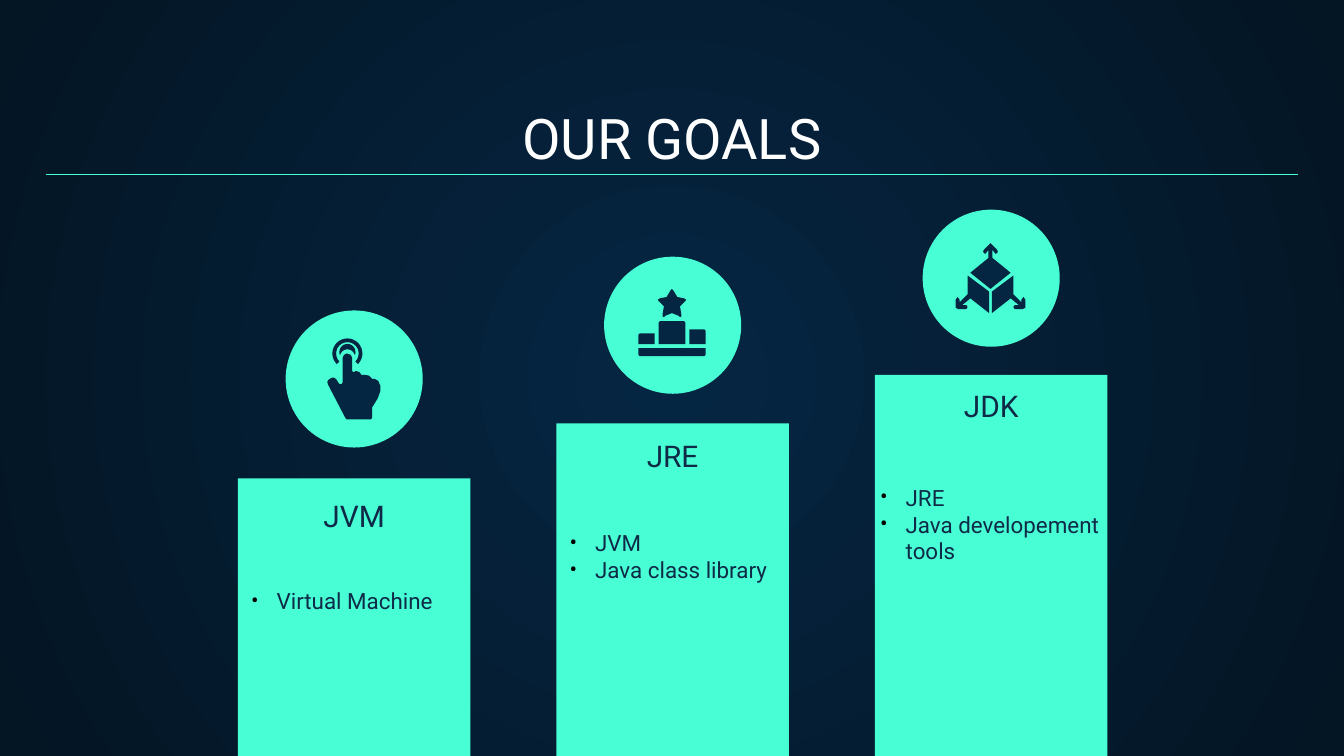
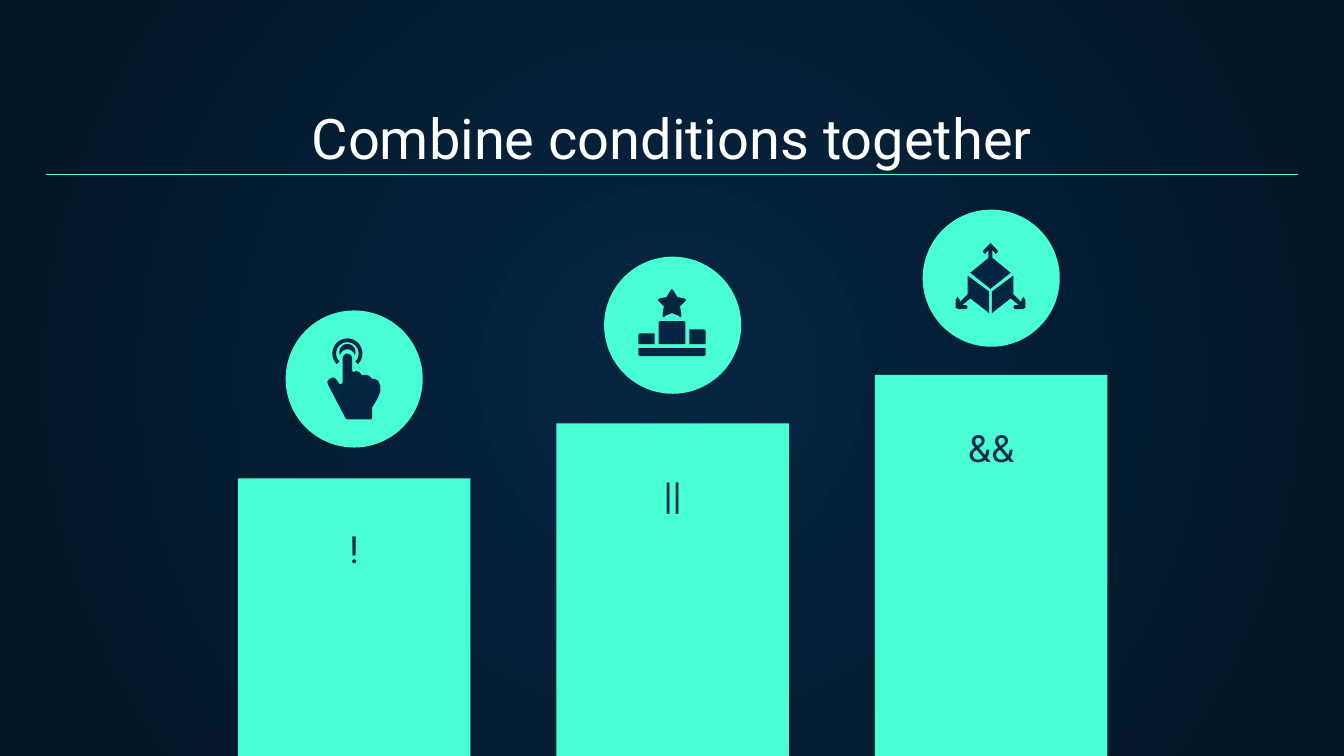
from math import cos, radians, sin

from lxml.etree import SubElement
from pptx import Presentation
from pptx.dml.color import RGBColor
from pptx.enum.shapes import MSO_CONNECTOR, MSO_SHAPE
from pptx.enum.text import MSO_ANCHOR, MSO_AUTO_SIZE, PP_ALIGN
from pptx.oxml.ns import qn
from pptx.util import Inches, Pt

COLORS = {
    "mint": "48FFD5",
    "navy": "052643",
    "night": "041523",
    "ink": "0E2A47",
    "white": "FFFFFF",
    "bullet": "000000",
}
FONT = "Roboto"
BAR_LEFT, BAR_STEP, BAR_WIDTH, BAR_BOTTOM = 1.77, 2.37, 1.73, 5.66
BAR_TOPS = [3.56, 3.15, 2.79]
BADGE_SIZE = 1.02
BADGE_TOPS = [2.31, 1.91, 1.56]
HEADING_WIDTH, HEADING_HEIGHT = 2.27, 0.21


def arc(center_x, center_y, radius, start, end, steps=24):
    angles = [radians(start + (end - start) * i / steps) for i in range(steps + 1)]
    return [(center_x + radius * cos(a), center_y + radius * sin(a)) for a in angles]


def mirror(points, axis):
    return [(2 * axis - x, y) for x, y in reversed(points)]


def symmetric(half, axis):
    return half + mirror(half, axis)


def touch_icon():
    ring = arc(258.5, 263, 11.2, 135, 405) + arc(258.5, 263, 8.4, 405, 135)
    ripple = arc(258.5, 262, 6, 160, 380) + arc(258.5, 265.5, 5.5, 340, 200)
    hand = [
        (258, 263), (256, 264), (255, 266), (255, 284), (254.5, 285.5), (253, 286),
        (252, 285), (250, 282), (248.5, 281), (247, 281), (244.5, 282.5), (243.5, 284),
        (244, 286), (257, 311), (258, 312), (276, 312), (277, 311), (277, 303),
        (281, 296.5), (283, 291), (283, 287), (281.5, 283.5), (279, 282), (277, 282),
        (276, 281), (274.5, 279.5), (272, 279), (269, 279), (267.5, 277), (265, 276),
        (263, 277), (262, 276), (262, 266), (261, 264),
    ]
    return [ring, ripple, hand]


def podium_icon():
    half_star = [
        (500, 215), (499, 216), (496, 221), (491, 222), (489.5, 223), (490, 224),
        (494, 228), (493, 234), (493, 235.5), (494, 236), (495, 235), (500, 233),
    ]
    second = [(476, 248), (475, 249), (475, 256), (487, 256), (487, 248)]
    first = [(491, 239), (490, 240), (490, 256), (510, 256), (510, 240), (509, 239)]
    third = [(513, 245), (513, 256), (525, 256), (525, 246), (524, 245)]
    base = [(475, 259), (475, 264), (476, 265), (524, 265), (525, 264), (525, 259)]
    return [symmetric(half_star, 500), second, first, third, base]


def cube_icon():
    axis = 737
    right_side = [
        (754, 205), (738, 217), (738, 233), (752, 222), (758, 227), (755, 227),
        (754, 228.5), (755, 230), (761, 230), (763, 229), (763, 223), (761.5, 221),
        (760, 223), (760, 225), (754, 219),
    ]
    half_top = [
        (737, 181), (736, 182), (732, 186), (731.5, 187.5), (733, 189), (734, 188),
        (735.5, 186), (735.5, 192), (722, 203), (737, 215),
    ]
    return [right_side, mirror(right_side, axis), symmetric(half_top, axis)]


ICONS = [touch_icon(), podium_icon(), cube_icon()]


def rgb(name):
    return RGBColor.from_string(COLORS[name])


def set_background(master):
    fill = master.background.fill
    fill.gradient()
    for stop, name in zip(fill.gradient_stops, ("navy", "night")):
        stop.color.rgb = rgb(name)
    gradient = master.element.find(".//" + qn("a:gradFill"))
    gradient.remove(gradient.find(qn("a:lin")))
    circle = SubElement(gradient, qn("a:path"), path="circle")
    SubElement(circle, qn("a:fillToRect"), l="50000", t="50000", r="50000", b="50000")


def paint(shape, name):
    shape.fill.solid()
    shape.fill.fore_color.rgb = rgb(name)
    shape.line.fill.background()
    shape.shadow.inherit = False


def add_block(slide, preset, left, top, width, height):
    block = slide.shapes.add_shape(
        preset, Inches(left), Inches(top), Inches(width), Inches(height))
    paint(block, "mint")


def add_icon(slide, outlines):
    icon = slide.shapes.add_group_shape()
    for outline in outlines:
        start, *rest = [(round(x * 10), round(y * 10)) for x, y in outline]
        builder = icon.shapes.build_freeform(*start, scale=Inches(1) / 1000)
        builder.add_line_segments(rest, close=True)
        paint(builder.convert_to_shape(), "navy")


def set_frame(frame, anchor):
    frame.word_wrap = True
    frame.auto_size = MSO_AUTO_SIZE.NONE
    frame.vertical_anchor = anchor
    frame.margin_left = frame.margin_right = Inches(0.1)
    frame.margin_top = frame.margin_bottom = Inches(0.1)


def style(paragraph, size, color, align=PP_ALIGN.CENTER):
    paragraph.alignment = align
    paragraph.font.name = FONT
    paragraph.font.size = Pt(size)
    paragraph.font.color.rgb = rgb(color)


def set_title(slide, text):
    title = slide.shapes.title
    title.left, title.top = Inches(0.34), Inches(0.71)
    title.width, title.height = Inches(9.32), Inches(0.66)
    title.text_frame.text = text
    set_frame(title.text_frame, MSO_ANCHOR.BOTTOM)
    style(title.text_frame.paragraphs[0], 30, "white")


def add_title_rule(slide):
    rule = slide.shapes.add_connector(
        MSO_CONNECTOR.STRAIGHT, Inches(0.34), Inches(1.3), Inches(9.66), Inches(1.3))
    rule.line.color.rgb = rgb("mint")
    rule.line.width = Pt(0.75)
    SubElement(rule.element.spPr, qn("a:effectLst"))


def add_text(slide, text, left, top, width, height, anchor):
    box = slide.shapes.add_textbox(
        Inches(left), Inches(top), Inches(width), Inches(height))
    set_frame(box.text_frame, anchor)
    box.text_frame.text = text
    return box.text_frame.paragraphs


def add_heading(slide, text, bar_left, top, size):
    left = bar_left + (BAR_WIDTH - HEADING_WIDTH) / 2
    [heading] = add_text(
        slide, text, left, top, HEADING_WIDTH, HEADING_HEIGHT, MSO_ANCHOR.BOTTOM)
    style(heading, size, "ink")


def add_bullets(slide, items, left, top, width):
    for item in add_text(slide, "\n".join(items), left, top, width, 0.55, MSO_ANCHOR.TOP):
        properties = item._p.get_or_add_pPr()
        properties.set("marL", str(Inches(0.19)))
        properties.set("indent", str(-Inches(0.19)))
        bullet_color = SubElement(properties, qn("a:buClr"))
        SubElement(bullet_color, qn("a:srgbClr"), val=COLORS["bullet"])
        SubElement(properties, qn("a:buFont"), typeface=FONT)
        SubElement(properties, qn("a:buChar"), char="•")
        style(item, 12, "ink", PP_ALIGN.LEFT)


def add_steps_slide(deck, title, headings, heading_size):
    slide = deck.slides.add_slide(deck.slide_layouts[5])
    set_title(slide, title)
    for i, (heading, heading_top) in enumerate(headings):
        left = BAR_LEFT + i * BAR_STEP
        add_block(slide, MSO_SHAPE.RECTANGLE, left, BAR_TOPS[i],
                  BAR_WIDTH, BAR_BOTTOM - BAR_TOPS[i])
        add_block(slide, MSO_SHAPE.OVAL, left + (BAR_WIDTH - BADGE_SIZE) / 2,
                  BADGE_TOPS[i], BADGE_SIZE, BADGE_SIZE)
        add_icon(slide, ICONS[i])
        add_heading(slide, heading, left, heading_top, heading_size)
    add_title_rule(slide)
    return slide


def main():
    deck = Presentation()
    deck.slide_width = Inches(10)
    deck.slide_height = deck.slide_width * 9 // 16
    set_background(deck.slide_master)

    goals = add_steps_slide(
        deck, "OUR GOALS", [("JVM", 3.86), ("JRE", 3.41), ("JDK", 3.04)], 16)
    add_bullets(goals, ["Virtual Machine"], 1.77, 4.27, 1.63)
    add_bullets(goals, ["JVM", "Java class library"], 4.14, 3.84, 1.73)
    add_bullets(goals, ["JRE", "Java developement tools"], 6.45, 3.5, 1.91)

    add_steps_slide(
        deck, "Combine conditions together", [("!", 4.14), ("||", 3.74), ("&&", 3.39)], 20)
    deck.save("out.pptx")


if __name__ == "__main__":
    main()
